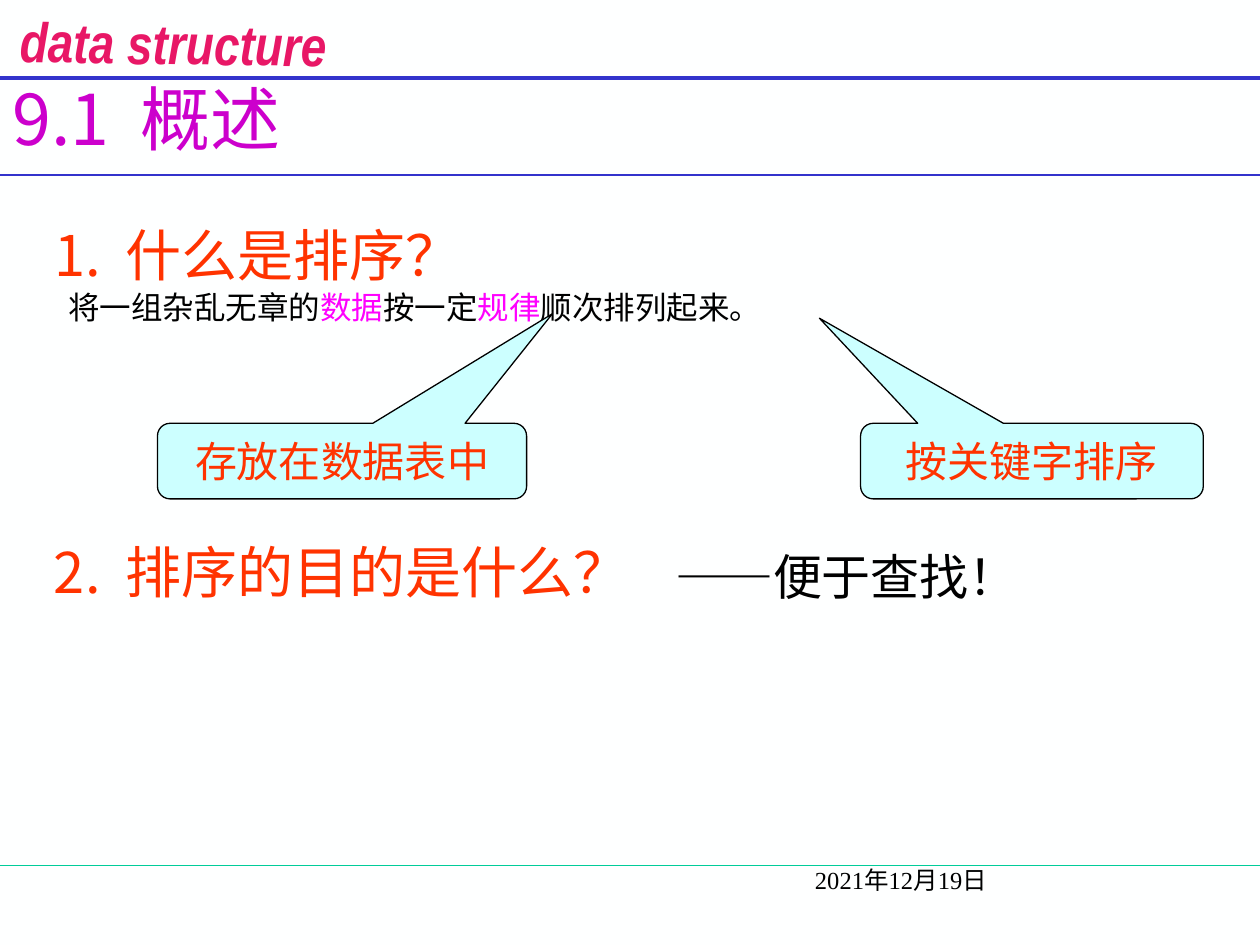
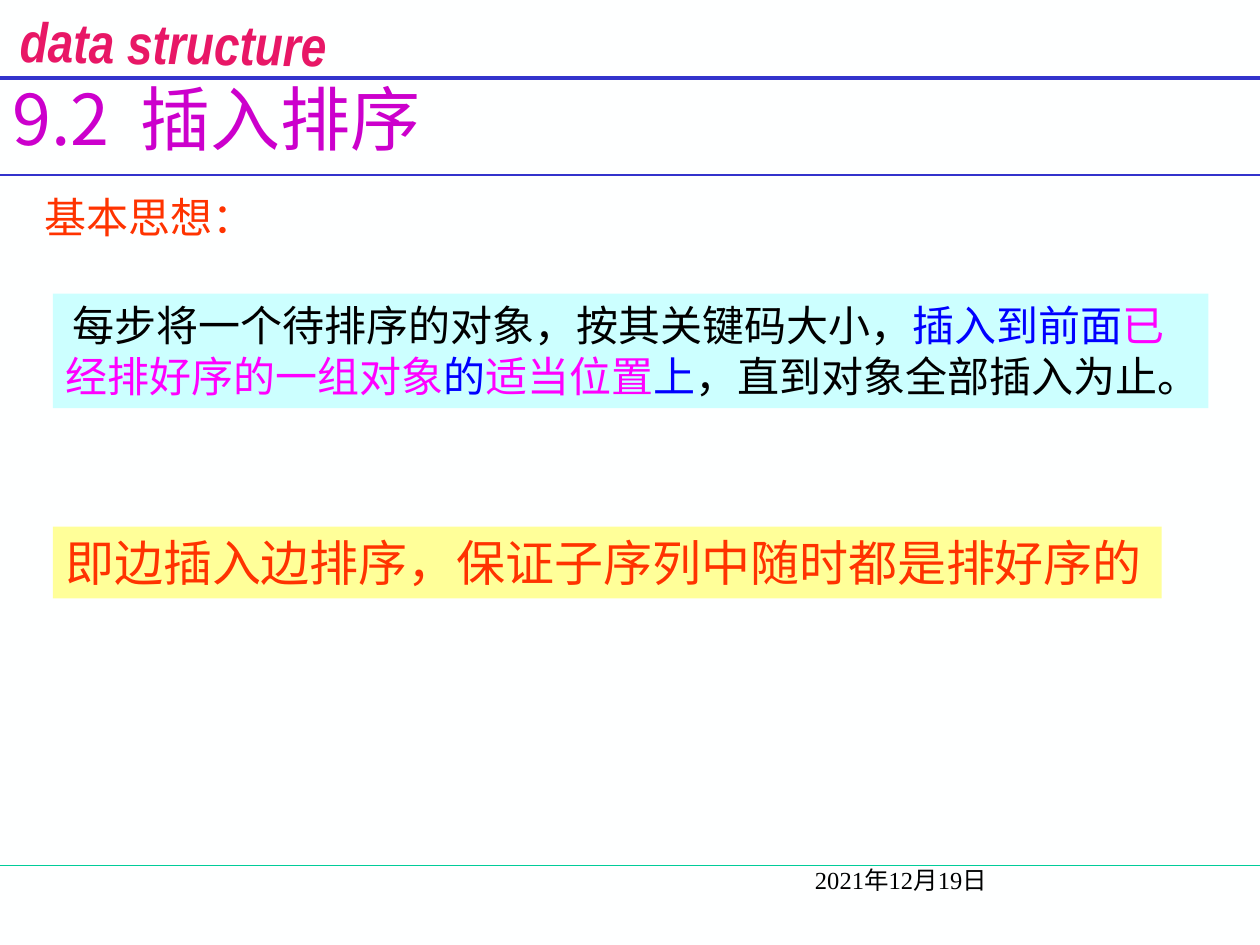
from dataclasses import dataclass

from lxml import etree
from pptx import Presentation
from pptx import util as u
from pptx.dml.color import RGBColor
from pptx.enum import shapes, text
from pptx.oxml import ns


@dataclass(frozen=True)
class Theme:
    background: str = "FEFFFF"
    ink: str = "000000"
    title: str = "CC00CC"
    brand: str = "E81766"
    heading: str = "FF3300"
    keyword: str = "FF00FF"
    action: str = "0000FF"
    rule: str = "3333CC"
    footer_rule: str = "00CC99"
    panel: str = "CCFFFF"
    highlight: str = "FFFF99"
    sans: str = "Noto Sans CJK SC"
    serif: str = "Times New Roman"
    banner: str = "Arial Narrow"
    title_size: int = 40
    heading_size: int = 32
    answer_size: int = 28
    body_size: int = 24
    detail_size: int = 18
    date_size: int = 14
    line_height: float = 1.2
    space_width: float = 0.22


THEME = Theme()


def place(shape, left, top, width, height):
    shape.left, shape.top = u.Inches(left), u.Inches(top)
    shape.width, shape.height = u.Inches(width), u.Inches(height)


def format_span(span, size, color, font):
    span.font.size = u.Pt(size)
    span.font.color.rgb = RGBColor.from_string(color)
    span.font.name = font
    east_asian = etree.SubElement(span._r.get_or_add_rPr(), ns.qn("a:ea"))
    east_asian.set("typeface", THEME.sans if font == THEME.serif else font)


def write(para, pieces, size, font=THEME.sans, align=text.PP_ALIGN.LEFT,
          left=0, first_line=0):
    """Fill a paragraph with (words, color) or (words, color, font) pieces."""
    for words, color, *own_font in pieces:
        span = para.add_run()
        span.text = words
        format_span(span, size, color, own_font[0] if own_font else font)
    para.alignment = align
    para.line_spacing = u.Pt(size * THEME.line_height)
    para.space_before = u.Pt(0)
    properties = para._p.get_or_add_pPr()
    properties.set("marL", str(u.Inches(left)))
    properties.set("indent", str(u.Inches(first_line)))
    if properties.find(ns.qn("a:buNone")) is None:
        etree.SubElement(properties, ns.qn("a:buNone"))


def write_numbered(para, number, words, size, color):
    """Write a number and its heading, with a widened space between them."""
    write(para, [(number, color), (" ", color), (words, color)], size)
    spacing = round(size * THEME.space_width * 100)
    para.runs[1]._r.get_or_add_rPr().set("spc", str(spacing))


def prepare_frame(shape, anchor=text.MSO_ANCHOR.TOP):
    frame = shape.text_frame
    frame.word_wrap = True
    frame.auto_size = text.MSO_AUTO_SIZE.NONE
    frame.vertical_anchor = anchor
    return frame


def add_text(page, bounds):
    box = page.shapes.add_textbox(*map(u.Inches, bounds))
    return prepare_frame(box).paragraphs[0]


def add_rule(page, top, color, weight):
    rule = page.shapes.add_connector(shapes.MSO_CONNECTOR.STRAIGHT, 0,
                                     u.Inches(top), u.Inches(10), u.Inches(top))
    rule.line.color.rgb = RGBColor.from_string(color)
    rule.line.width = u.Pt(weight)
    etree.SubElement(rule.element.spPr, ns.qn("a:effectLst"))


def add_panel(page, kind, bounds, fill):
    panel = page.shapes.add_shape(kind, *map(u.Inches, bounds))
    panel.shadow.inherit = False
    panel.fill.solid()
    panel.fill.fore_color.rgb = RGBColor.from_string(fill)
    panel.line.fill.background()
    return panel


def add_callout(page, bounds, words, tip):
    callout = add_panel(page, shapes.MSO_SHAPE.ROUNDED_RECTANGULAR_CALLOUT,
                        bounds, THEME.panel)
    callout.adjustments[0], callout.adjustments[1] = tip
    callout.line.color.rgb = RGBColor.from_string(THEME.ink)
    callout.line.width = u.Pt(0.75)
    frame = prepare_frame(callout, text.MSO_ANCHOR.MIDDLE)
    write(frame.paragraphs[0], [(words, THEME.heading)], THEME.body_size,
          THEME.serif, text.PP_ALIGN.CENTER)


def add_banner(page):
    box = page.shapes.add_textbox(*map(u.Inches, (0.03, 0.02, 2.69, 0.54)))
    box.rotation = 0.8
    para = prepare_frame(box).paragraphs[0]
    para.text = "data structure"
    para.alignment = text.PP_ALIGN.CENTER
    span = para.runs[0]
    format_span(span, THEME.heading_size, THEME.brand, THEME.banner)
    span.font.bold = span.font.italic = True


def add_page(deck, number, words):
    """Add a slide with its title, banner, rules and date."""
    page = deck.slides.add_slide(deck.slide_layouts[1])
    add_rule(page, 6.87, THEME.footer_rule, 0.75)
    add_rule(page, 0.62, THEME.rule, 2.25)
    add_rule(page, 1.39, THEME.rule, 1)
    add_banner(page)
    write(add_text(page, (5.4, 6.82, 4.6, 0.5)),
          [("2021年12月19日", THEME.ink)], THEME.date_size, THEME.serif, left=0.97)
    title = page.shapes.title
    place(title, 0, 0.56, 6.73, 0.75)
    frame = prepare_frame(title, text.MSO_ANCHOR.MIDDLE)
    write_numbered(frame.paragraphs[0], number, words,
                   THEME.title_size, THEME.title)
    return page


def body_frame(page, *bounds):
    body = page.placeholders[1]
    place(body, *bounds)
    return prepare_frame(body)


def build_overview(deck):
    page = add_page(deck, "9.1", "概述")
    body = body_frame(page, 0.33, 1.7, 9.42, 1.1)
    write_numbered(body.paragraphs[0], "1.", "什么是排序？",
                   THEME.heading_size, THEME.heading)
    write(body.add_paragraph(), [
        ("将一组杂乱无章的", THEME.ink), ("数据", THEME.keyword),
        ("按一定", THEME.ink), ("规律", THEME.keyword),
        ("顺次排列起来。", THEME.ink),
    ], THEME.detail_size, left=0.11)
    write_numbered(add_text(page, (0.33, 4.22, 5.14, 0.63)), "2.",
                   "排序的目的是什么？", THEME.heading_size, THEME.heading)
    add_callout(page, (1.25, 3.36, 2.93, 0.6), "存放在数据表中", (0.57, -1.95))
    add_callout(page, (6.83, 3.36, 2.72, 0.6), "按关键字排序", (-0.62, -1.89))
    write(add_text(page, (5.17, 4.29, 3.13, 0.57)),
          [("——", THEME.ink, THEME.serif), ("便于查找！", THEME.ink)],
          THEME.answer_size, first_line=0.09)


def build_insertion_sort(deck):
    page = add_page(deck, "9.2", "插入排序")
    body = body_frame(page, 0.25, 1.47, 9.33, 0.5)
    write(body.paragraphs[0], [("基本思想：", THEME.heading)],
          THEME.body_size, THEME.serif)

    idea = add_panel(page, shapes.MSO_SHAPE.RECTANGLE,
                     (0.42, 2.33, 9.17, 0.91), THEME.panel)
    frame = prepare_frame(idea)
    frame.margin_right = u.Inches(0.05)
    write(frame.paragraphs[0], [
        ("每步将一个待排序的对象，按其关键码大小，", THEME.ink),
        ("插入到前面", THEME.action), ("已经排好序的一组对象", THEME.keyword),
        ("的", THEME.action), ("适当位置", THEME.keyword),
        ("上", THEME.action), ("，直到对象全部插入为止。", THEME.ink),
    ], THEME.body_size, first_line=0.06)

    summary = add_panel(page, shapes.MSO_SHAPE.RECTANGLE,
                        (0.42, 4.18, 8.8, 0.57), THEME.highlight)
    write(prepare_frame(summary).paragraphs[0],
          [("即边插入边排序，保证子序列中随时都是排好序的", THEME.heading)],
          THEME.answer_size, THEME.serif)


def main():
    deck = Presentation()
    deck.slide_width, deck.slide_height = u.Inches(10), u.Inches(7.5)
    backdrop = deck.slide_master.background.fill
    backdrop.solid()
    backdrop.fore_color.rgb = RGBColor.from_string(THEME.background)
    build_overview(deck)
    build_insertion_sort(deck)
    deck.save("out.pptx")


if __name__ == "__main__":
    main()
